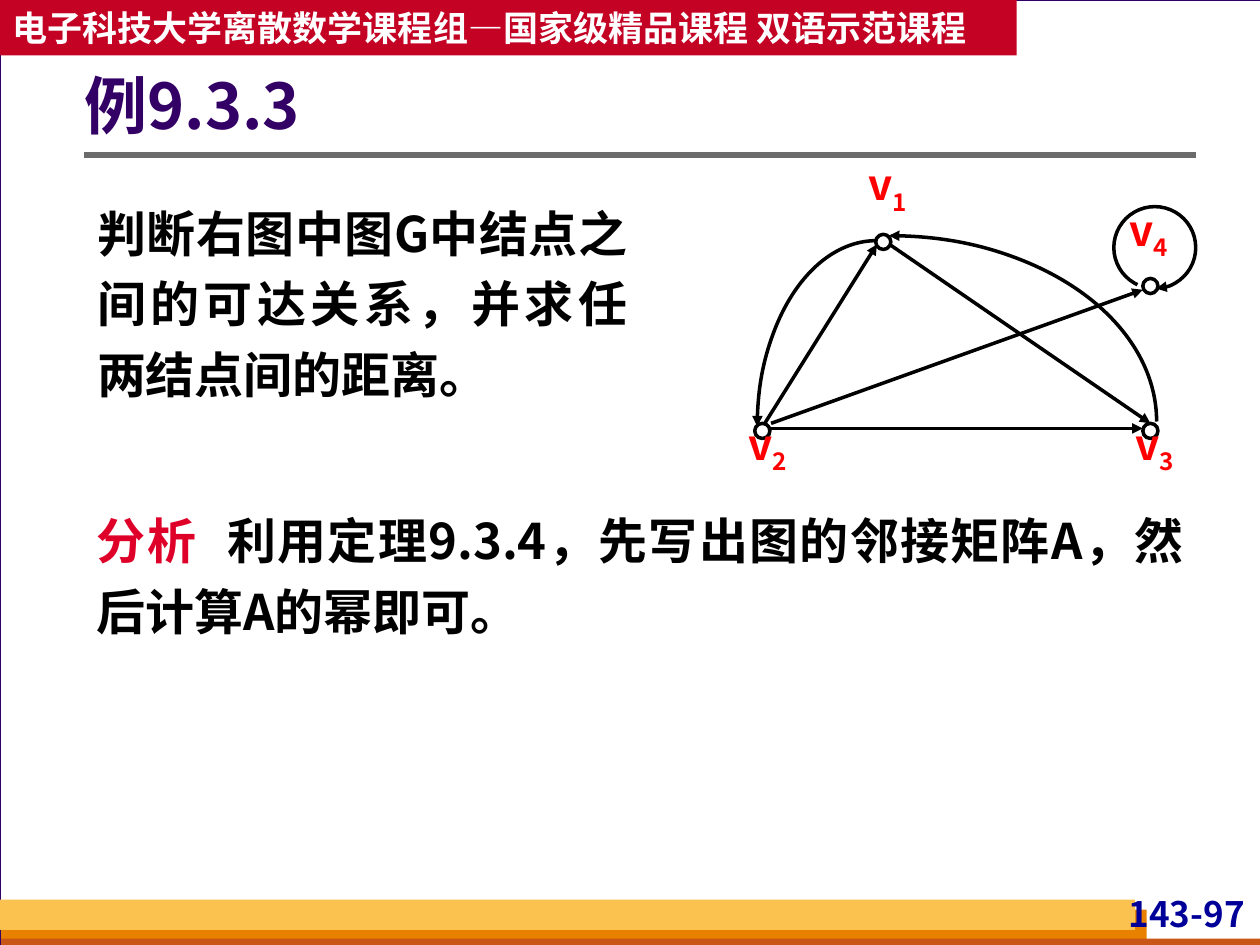
from dataclasses import dataclass
from typing import Any, Optional

from lxml.etree import SubElement
from pptx import Presentation
from pptx.dml.color import RGBColor
from pptx.enum.shapes import MSO_CONNECTOR, MSO_SHAPE
from pptx.enum.text import MSO_ANCHOR, MSO_AUTO_SIZE, PP_ALIGN
from pptx.oxml.ns import qn
from pptx.util import Inches, Pt

FONT = "Noto Sans CJK SC"
WHITE = RGBColor(0xFF, 0xFF, 0xFF)
BLACK = RGBColor(0, 0, 0)
GREY = RGBColor(0x6B, 0x6B, 0x6B)
PALE = RGBColor(0xD8, 0xDA, 0xDA)
PURPLE = RGBColor(0x33, 0, 0x66)
NAVY = RGBColor(0, 0, 0x99)
ORANGE = RGBColor(0xE8, 0x80, 0)
RUST = RGBColor(0xC9, 0x56, 0x16)
GOLD = RGBColor(0xFC, 0xC2, 0x4F)
CRIMSON = RGBColor(0xC3, 0x02, 0x24)
ROSE = RGBColor(0xDF, 0, 0x29)
RED = RGBColor(0xFF, 0, 0)
NODE = 0.12


@dataclass
class Box:
    left: float
    top: float
    width: float
    height: float

    def dims(self) -> list:
        return [Inches(v) for v in (self.left, self.top, self.width, self.height)]


@dataclass
class Band:
    box: Box
    fill: RGBColor
    line: Optional[RGBColor] = None


@dataclass
class Node:
    num: str
    left: float
    top: float
    label: tuple


@dataclass
class Edge:
    start: tuple
    end: tuple


@dataclass
class Arc:
    box: Box
    start: float
    end: float
    tip: str


def apply(item: Any, form: dict) -> None:
    for name, value in form.items():
        setattr(item, name, value)


def add_run(par: Any, text: str, size: float, color: RGBColor) -> Any:
    run = par.add_run()
    run.text = text
    apply(run.font, {"size": Pt(size), "bold": True, "name": FONT})
    run.font.color.rgb = color
    SubElement(run._r.get_or_add_rPr(), qn("a:ea"), typeface=FONT)
    return run


def set_text(shape: Any, runs: list, size: float, pads: tuple, form: dict,
             anchor: Any = MSO_ANCHOR.TOP) -> Any:
    frame = shape.text_frame
    sides = ("margin_left", "margin_top", "margin_right", "margin_bottom")
    apply(frame, {"word_wrap": True, "auto_size": MSO_AUTO_SIZE.NONE,
                  "vertical_anchor": anchor})
    apply(frame, dict(zip(sides, map(Inches, pads))))
    par = frame.paragraphs[0]
    apply(par, {"space_before": Pt(0), **form})
    for text, color in runs:
        add_run(par, text, size, color)
    return par


def place(shape: Any, box: Box) -> None:
    apply(shape, dict(zip(("left", "top", "width", "height"), box.dims())))
    # Bring the placeholder in front of the bands
    shape.element.getparent().append(shape.element)


def add_shape(slide: Any, kind: Any, box: Box, fill: Optional[RGBColor],
              line: Optional[RGBColor], width: float) -> Any:
    shape = slide.shapes.add_shape(kind, *box.dims())
    shape.shadow.inherit = False
    if fill is None:
        shape.fill.background()
    else:
        shape.fill.solid()
        shape.fill.fore_color.rgb = fill
    if line is None:
        shape.line.fill.background()
    else:
        shape.line.color.rgb = line
        shape.line.width = Pt(width)
    return shape


def add_tip(shape: Any, tip: str) -> None:
    SubElement(shape.line._get_or_add_ln(), qn(f"a:{tip}"), type="triangle")


def add_line(slide: Any, edge: Edge, color: RGBColor, width: float) -> Any:
    ends = [Inches(v) for v in (*edge.start, *edge.end)]
    line = slide.shapes.add_connector(MSO_CONNECTOR.STRAIGHT, *ends)
    line.line.color.rgb = color
    line.line.width = Pt(width)
    SubElement(line._element.spPr, qn("a:effectLst"))
    return line


def add_arc(slide: Any, arc: Arc) -> None:
    shape = add_shape(slide, MSO_SHAPE.ARC, arc.box, None, BLACK, 2)
    # Angles are held in 60000ths of a degree, scaled by 100000
    for i, angle in enumerate((arc.start, arc.end)):
        shape.adjustments[i] = angle * 0.6
    add_tip(shape, arc.tip)


def add_node(slide: Any, node: Node) -> None:
    add_shape(slide, MSO_SHAPE.OVAL, Box(node.left, node.top, NODE, NODE),
              WHITE, BLACK, 2)
    label = slide.shapes.add_textbox(*Box(*node.label, 0.47, 0.59).dims())
    par = set_text(label, [("v", RED), (node.num, RED)], 24, (0, 0, 0, 0),
                   {"alignment": PP_ALIGN.CENTER})
    par.runs[1].font._element.set("baseline", "-25000")


BANDS = [
    Band(Box(0, 0, 10.01, 7.5), WHITE, PURPLE),
    Band(Box(0.01, 7.22, 9.09, 0.28), ORANGE),
    Band(Box(0.01, 7.45, 10, 0.08), RUST),
    Band(Box(0, 7.14, 9.01, 0.24), GOLD),
]
NODES = [
    Node("1", 6.95, 1.86, (6.81, 1.26)),
    Node("4", 9.07, 2.21, (8.88, 1.62)),
    Node("2", 5.99, 3.36, (5.86, 3.32)),
    Node("3", 9.07, 3.36, (8.93, 3.32)),
]
EDGES = [
    Edge((6.11, 3.4), (9.07, 3.4)),
    Edge((6.07, 3.36), (6.96, 1.94)),
    Edge((6.12, 3.36), (9.07, 2.3)),
    Edge((7.06, 1.94), (9.13, 3.36)),
]
LOOP = Arc(Box(8.84, 1.64, 0.65, 0.65), 115, 88, "tailEnd")
ARCS = [
    Arc(Box(6.01, 1.91, 1.89, 2.95), 180, 270, "headEnd"),
    Arc(Box(4.93, 1.87, 4.25, 2.95), 270, 0, "headEnd"),
]
PADS = (0.1, 0.05, 0.1, 0.05)
PROSE = {"alignment": PP_ALIGN.JUSTIFY, "line_spacing": 1.2}
LEFT = {"alignment": PP_ALIGN.LEFT}


def main() -> None:
    deck = Presentation()
    apply(deck, {"slide_width": Inches(10), "slide_height": Inches(7.5)})
    slide = deck.slides.add_slide(deck.slide_layouts[1])
    slide.background.fill.solid()
    slide.background.fill.fore_color.rgb = PALE

    # Frame, footer bands and page number
    for band in BANDS:
        add_shape(slide, MSO_SHAPE.RECTANGLE, band.box, band.fill, band.line, 0.75)
    page = slide.shapes.add_textbox(*Box(8.7, 7.08, 1.22, 0.38).dims())
    set_text(page, [("143-97", NAVY)], 20, (0.04, 0, 0.04, 0),
             {"alignment": PP_ALIGN.RIGHT})

    # Header and title
    add_line(slide, Edge((0.67, 1.23), (9.49, 1.23)), GREY, 3)
    head = add_shape(slide, MSO_SHAPE.RECTANGLE, Box(0, 0, 8.07, 0.44),
                     CRIMSON, None, 0)
    set_text(head, [("电子科技大学离散数学课程组—国家级精品课程 双语示范课程", WHITE)],
             20, PADS, LEFT, MSO_ANCHOR.MIDDLE)
    title = slide.shapes.title
    place(title, Box(0.67, 0.36, 8.82, 1.01))
    set_text(title, [("例9.3.3", PURPLE)], 36, (0, 0.05, 0.1, 0.05),
             {**LEFT, "line_spacing": 0.9}, MSO_ANCHOR.MIDDLE)

    # Question
    body = slide.placeholders[1]
    place(body, Box(0.67, 1.47, 4.41, 1.78))
    par = set_text(body, [("判断右图中图G中结点之间的可达关系，并求任两结点间的距离。", BLACK)],
                   28, PADS, PROSE)
    props = par._p.get_or_add_pPr()
    apply_none = {"marL": "0", "indent": "0"}
    props.attrib.update(apply_none)
    SubElement(props, qn("a:buNone"))

    # Analysis, with a tab stop after its heading
    note = slide.shapes.add_textbox(*Box(0.67, 3.91, 8.82, 1.22).dims())
    par = set_text(note, [("分析\t", ROSE),
                          ("利用定理9.3.4，先写出图的邻接矩阵A，然后计算A的幂即可。", BLACK)],
                   28, PADS, PROSE)
    tabs = SubElement(par._p.get_or_add_pPr(), qn("a:tabLst"))
    SubElement(tabs, qn("a:tab"), pos=str(Inches(1)), algn="l")

    # Directed graph
    add_arc(slide, LOOP)
    for node in NODES:
        add_node(slide, node)
    for arc in ARCS:
        add_arc(slide, arc)
    for edge in EDGES:
        add_tip(add_line(slide, edge, BLACK, 2), "tailEnd")

    deck.save("out.pptx")


if __name__ == "__main__":
    main()
